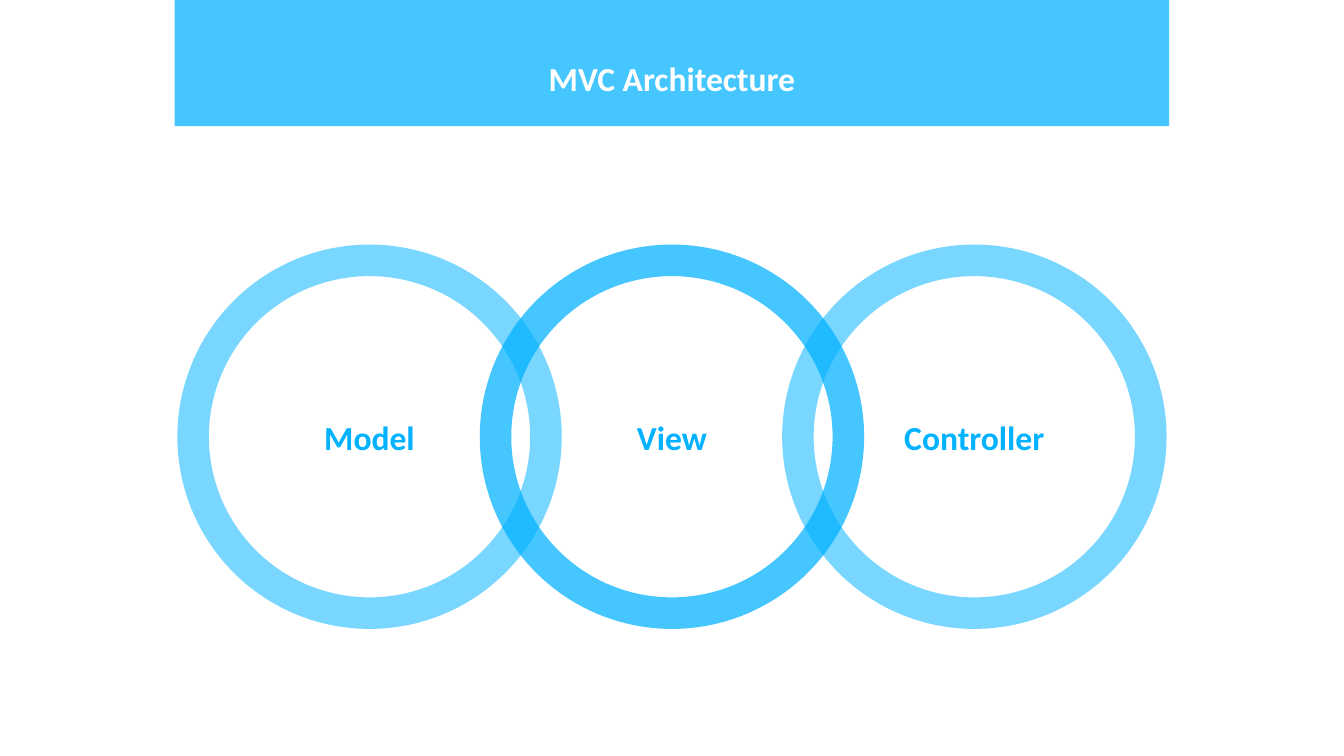
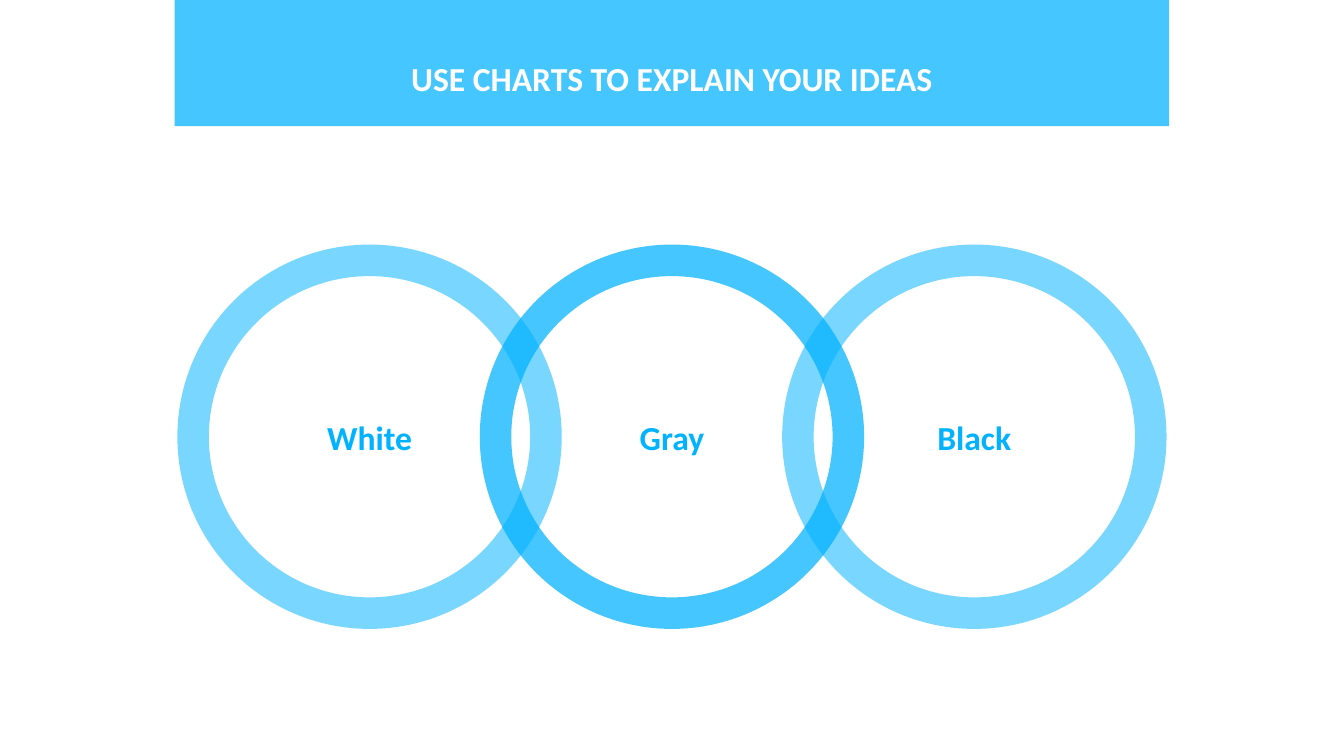
import pptx
import pptx.util
import pptx.dml.color
import pptx.enum.shapes
import pptx.enum.text
import pptx.oxml
import pptx.oxml.ns
from pptx.util import Inches

# Content: title, then ring labels from left to right
SLIDES = [
    ("MVC Architecture", ("Model", "View", "Controller")),
    ("USE CHARTS TO EXPLAIN YOUR IDEAS", ("White", "Gray", "Black")),
]

# Shared style
BLUE = pptx.dml.color.RGBColor(0x00, 0xB2, 0xFF)
WHITE = pptx.dml.color.RGBColor(0xFF, 0xFF, 0xFF)
FONT = "Calibri"
FONT_SIZE = 18
STRONG, LIGHT = 73, 53  # opacity in percent

# Layout in inches, on a 16:9 slide
SLIDE_WIDTH = 10
SLIDE_HEIGHT = SLIDE_WIDTH * 9 / 16
BAND_WIDTH, BAND_HEIGHT = 7.4, 0.94
BAND_LEFT = (SLIDE_WIDTH - BAND_WIDTH) / 2
TITLE_TOP, TITLE_HEIGHT = 0.33, 0.55
RING_SIZE, RING_TOP, RING_STEP = 2.86, 1.82, 2.25
RING_THICKNESS = 0.082  # share of the ring size
RING_LAYERS = ((1, STRONG), (2, LIGHT), (0, LIGHT))  # back to front


def add_tinted_shape(slide, kind, left, top, width, height, opacity):
    shape = slide.shapes.add_shape(
        kind, Inches(left), Inches(top), Inches(width), Inches(height))
    shape.shadow.inherit = False
    shape.line.fill.background()
    shape.fill.solid()
    shape.fill.fore_color.rgb = BLUE
    color = shape.fill._xPr.find(".//" + pptx.oxml.ns.qn("a:srgbClr"))
    alpha = pptx.oxml.parse_xml(
        f'<a:alpha {pptx.oxml.ns.nsdecls("a")} val="{opacity * 1000}"/>')
    color.append(alpha)
    return shape


def write_text(shape, text, color, anchor):
    frame = shape.text_frame
    frame.word_wrap = True
    frame.vertical_anchor = anchor
    frame.margin_left = frame.margin_right = Inches(0.1)
    frame.margin_top = frame.margin_bottom = Inches(0.1)
    paragraph = frame.paragraphs[0]
    paragraph.text = text
    paragraph.alignment = pptx.enum.text.PP_ALIGN.CENTER
    paragraph.font.name = FONT
    paragraph.font.size = pptx.util.Pt(FONT_SIZE)
    paragraph.font.bold = True
    paragraph.font.color.rgb = color


def add_title_band(slide, title):
    add_tinted_shape(slide, pptx.enum.shapes.MSO_SHAPE.RECTANGLE,
                     BAND_LEFT, 0, BAND_WIDTH, BAND_HEIGHT, STRONG)
    box = slide.shapes.add_textbox(Inches(BAND_LEFT), Inches(TITLE_TOP),
                                   Inches(BAND_WIDTH), Inches(TITLE_HEIGHT))
    write_text(box, title, WHITE, pptx.enum.text.MSO_ANCHOR.TOP)


def add_rings(slide, labels):
    # The row of overlapping rings is centred on the slide
    row_width = RING_SIZE + RING_STEP * (len(labels) - 1)
    row_left = (SLIDE_WIDTH - row_width) / 2
    for position, opacity in RING_LAYERS:
        ring = add_tinted_shape(
            slide, pptx.enum.shapes.MSO_SHAPE.DONUT,
            row_left + position * RING_STEP, RING_TOP,
            RING_SIZE, RING_SIZE, opacity)
        ring.adjustments[0] = RING_THICKNESS
        write_text(ring, labels[position], BLUE,
                   pptx.enum.text.MSO_ANCHOR.MIDDLE)


def main():
    presentation = pptx.Presentation()
    presentation.slide_width = Inches(SLIDE_WIDTH)
    presentation.slide_height = Inches(SLIDE_HEIGHT)
    blank_layout = presentation.slide_layouts[6]
    for title, labels in SLIDES:
        slide = presentation.slides.add_slide(blank_layout)
        add_title_band(slide, title)
        add_rings(slide, labels)
    presentation.save("out.pptx")


if __name__ == "__main__":
    main()
